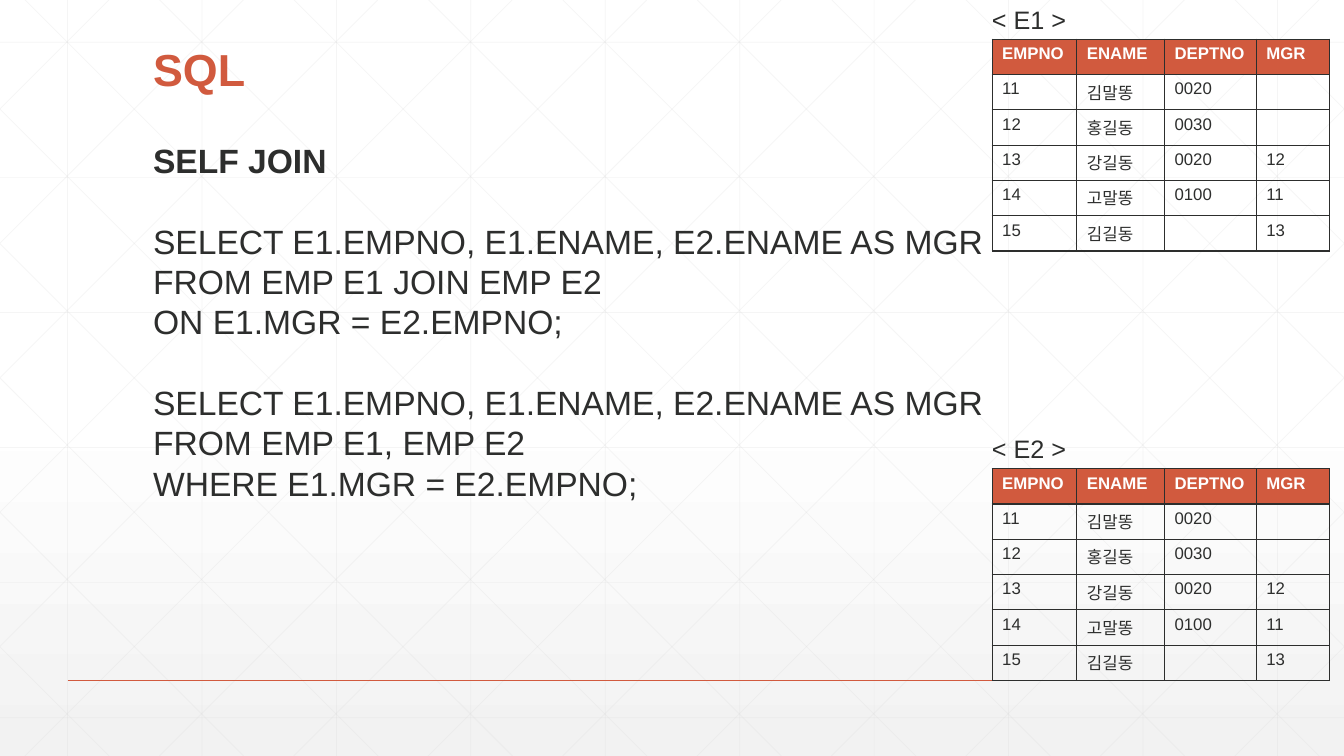
from lxml import etree
from pptx import Presentation
from pptx.dml.color import RGBColor
from pptx.enum.shapes import MSO_CONNECTOR
from pptx.enum.text import MSO_ANCHOR
from pptx.oxml import parse_xml
from pptx.oxml.ns import nsdecls, qn
from pptx.util import Inches, Pt

STRAIGHT = MSO_CONNECTOR.STRAIGHT
TOP = MSO_ANCHOR.TOP
BOTTOM = MSO_ANCHOR.BOTTOM

WHITE = RGBColor(0xFF, 0xFF, 0xFF)
PALE = RGBColor(0xF2, 0xF2, 0xF2)
GRID = RGBColor(0xD9, 0xD9, 0xD9)
RUST = RGBColor(0xD1, 0x5A, 0x3E)
INK = RGBColor(0x2D, 0x2E, 0x2D)

FONT = "Arial"
WIDE, HIGH = 13.33, 7.5
STEP = 4 / 3
LEAD = 28.8

HEADS = ["EMPNO", "ENAME", "DEPTNO", "MGR"]
STAFF = [
    ["11", "김말똥", "0020", ""],
    ["12", "홍길동", "0030", ""],
    ["13", "강길동", "0020", "12"],
    ["14", "고말똥", "0100", "11"],
    ["15", "김길동", "", "13"],
]
COLS = [0.84, 0.87, 0.91, 0.73]
ROW = 0.35

PICK = "SELECT E1.EMPNO, E1.ENAME, E2.ENAME AS MGR"
BLOCKS = [
    ["SELF JOIN"],
    [PICK, "FROM EMP E1 JOIN EMP E2", "ON E1.MGR = E2.EMPNO;"],
    [PICK, "FROM EMP E1, EMP E2", "WHERE E1.MGR = E2.EMPNO;"],
]


def style(para, size, color, bold=False):
    font = para.font
    font.name = FONT
    font.size = Pt(size)
    font.bold = bold
    font.color.rgb = color


def add_line(slide, x1, y1, x2, y2, color, width, alpha=None):
    line = slide.shapes.add_connector(
        STRAIGHT, Inches(x1), Inches(y1), Inches(x2), Inches(y2))
    line.line.color.rgb = color
    line.line.width = Pt(width)
    props = line._element.spPr
    etree.SubElement(props, qn("a:effectLst"))
    if alpha:
        tint = props.find(".//" + qn("a:srgbClr"))
        etree.SubElement(tint, qn("a:alpha")).set("val", str(alpha * 1000))


def add_text(slide, box, anchor=TOP, wrap=True):
    frame = slide.shapes.add_textbox(*map(Inches, box)).text_frame
    frame.word_wrap = wrap
    frame.vertical_anchor = anchor
    return frame


def draw_back(slide, left, top, width, height):
    fill = slide.background.fill
    fill.gradient()
    fill.gradient_angle = 270
    for stop, color, place in zip(fill.gradient_stops, (WHITE, PALE), (0.53, 1)):
        stop.color.rgb = color
        stop.position = place

    right, base = left + width, top + height
    lines = []
    for i in range(10):
        x = left + 0.67 + i * STEP
        lines.append((x, top, x, base))
    for i in range(6):
        y = top + 0.42 + i * 1.34
        lines.append((left, y, right, y))
    for i in range(-5, 10):
        start = 0.25 + i * STEP
        x1, y1 = max(start, 0), max(-start, 0)
        run = min(width - x1, height - y1)
        x2, y2 = x1 + run, y1 + run
        lines.append((left + x1, top + y1, left + x2, top + y2))
        lines.append((right - x1, top + y1, right - x2, top + y2))
    for ends in lines:
        add_line(slide, *ends, GRID, 0.5, 25)
    add_line(slide, left + 0.67, top + 6.75, right - 0.66, top + 6.75, RUST, 1)


def draw_title(slide, *box):
    para = add_text(slide, box, BOTTOM).paragraphs[0]
    para.text = "SQL"
    para.line_spacing = 0.9
    style(para, 32, RUST, True)


def draw_query(slide, *box):
    frame = add_text(slide, box)
    for b, block in enumerate(BLOCKS):
        for i, text in enumerate(block):
            first = b == 0 and i == 0
            para = frame.paragraphs[0] if first else frame.add_paragraph()
            para.text = text
            para.line_spacing = Pt(LEAD)
            para.space_before = Pt(LEAD if b and i == 0 else 0)
            style(para, 24, INK, first)


def add_edges(cell):
    props = cell._tc.get_or_add_tcPr()
    for i, side in enumerate("LRTB"):
        props.insert(i, parse_xml(
            f'<a:ln{side} {nsdecls("a")} w="12700"><a:solidFill>'
            f'<a:srgbClr val="{INK}"/></a:solidFill></a:ln{side}>'))


def draw_table(slide, name, left, top, width, height):
    label = add_text(slide, (left - 0.1, top, 0.95, 0.4), wrap=False)
    label.paragraphs[0].text = f"< {name} >"
    style(label.paragraphs[0], 18, INK)

    rows = [HEADS] + STAFF
    table = slide.shapes.add_table(
        len(rows), len(COLS), Inches(left), Inches(top + 0.4),
        Inches(width), Inches(height - 0.4)).table
    for col, size in zip(table.columns, COLS):
        col.width = Inches(size)
    for r, row in enumerate(rows):
        table.rows[r].height = Inches(ROW)
        for c, text in enumerate(row):
            cell = table.cell(r, c)
            if r == 0:
                cell.fill.solid()
                cell.fill.fore_color.rgb = RUST
            else:
                cell.fill.background()
            add_edges(cell)
            para = cell.text_frame.paragraphs[0]
            para.text = text
            style(para, 12, INK if r else WHITE, r == 0)


def main():
    deck = Presentation()
    deck.slide_width, deck.slide_height = Inches(WIDE), Inches(HIGH)
    slide = deck.slides.add_slide(deck.slide_layouts[6])
    draw_back(slide, 0, 0, WIDE, HIGH)
    draw_title(slide, 1.42, 0.39, 10.5, 0.61)
    draw_query(slide, 1.42, 1.34, 11.57, 4.14)
    draw_table(slide, "E2", 9.84, 4.25, 3.35, 2.5)
    draw_table(slide, "E1", 9.84, -0.01, 3.35, 2.5)
    deck.save("out.pptx")


main()
